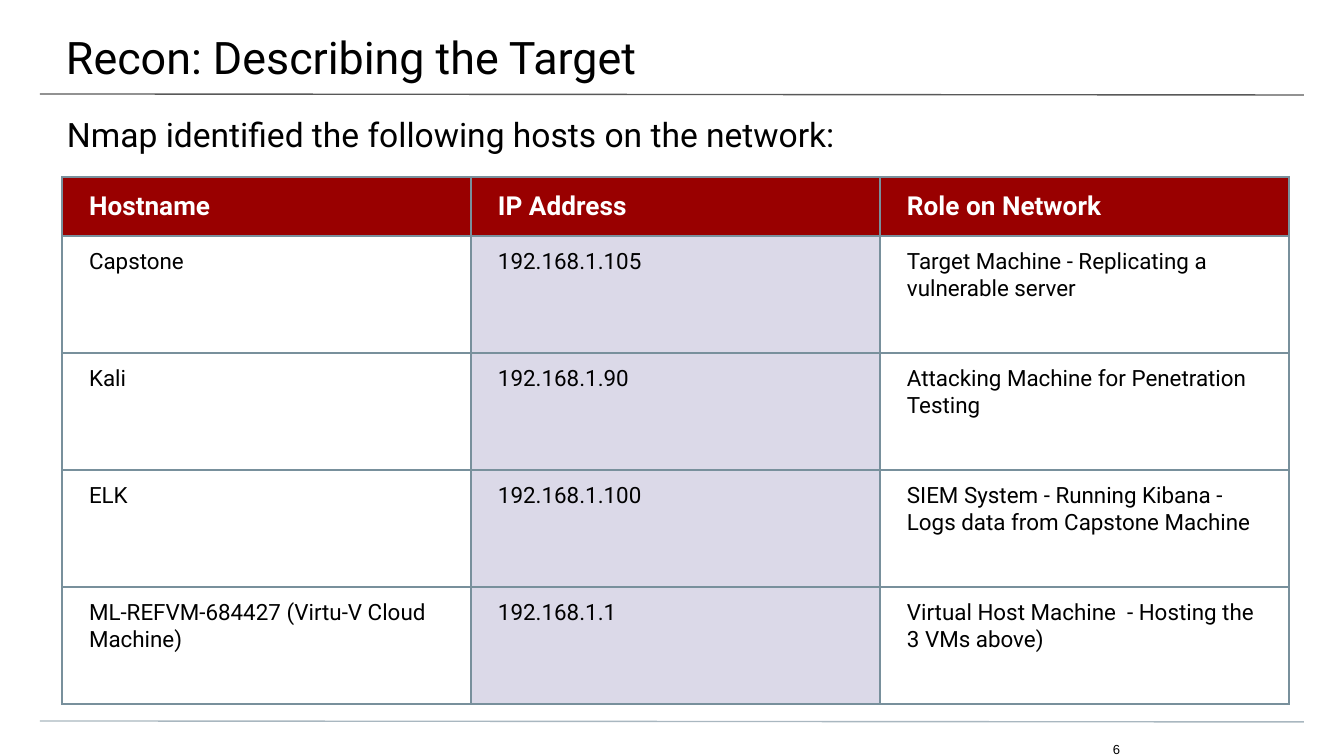
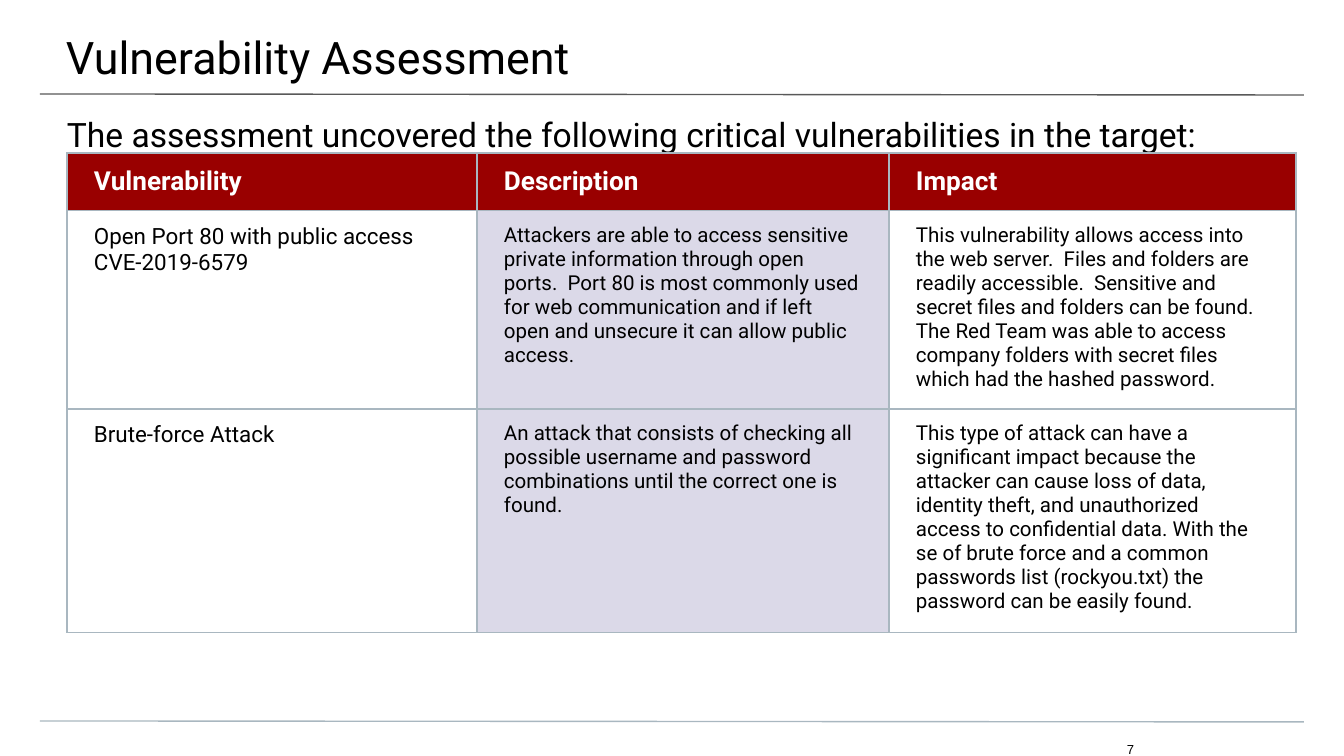
from lxml.etree import SubElement
from pptx import Presentation
from pptx.dml.color import RGBColor
from pptx.enum.shapes import MSO_CONNECTOR
from pptx.enum.text import MSO_ANCHOR, MSO_AUTO_SIZE, PP_ALIGN
from pptx.oxml.ns import qn
from pptx.util import Emu, Pt

SCALE = 914400 / 134.4
WIDTH, HEIGHT = 1344, 756
COLORS = {
    "text": "000000",
    "light": "FFFFFF",
    "head": "990000",
    "tint": "DBD9E8",
    "rule": "595959",
    "pale": "A9B7C0",
    "slate": "78909C",
}


def px(count):
    return Emu(round(count * SCALE))


def color(name):
    return RGBColor.from_string(COLORS[name])


def write(frame, text, size=12, font="Roboto", tone="text", bold=False,
          inset=(27, 13, 27, 13), anchor=MSO_ANCHOR.TOP):
    frame.word_wrap = True
    frame.vertical_anchor = anchor
    sides = ("left", "top", "right", "bottom")
    for side, value in zip(sides, inset):
        setattr(frame, "margin_" + side, px(value))
    frame.text = text
    for para in frame.paragraphs:
        para.alignment = PP_ALIGN.LEFT
        para.font.size = Pt(size)
        para.font.name = font
        para.font.bold = bold
        para.font.color.rgb = color(tone)


class Deck:
    def __init__(self):
        self.file = Presentation()
        self.file.slide_width = px(WIDTH)
        self.file.slide_height = px(HEIGHT)
        self.slide = None

    def page(self, title, lead, number, left):
        self.slide = self.file.slides.add_slide(self.file.slide_layouts[5])
        self.line(94, "rule")
        self.line(721, "pale")
        self.title(title)
        self.text(lead, (0, 99, WIDTH, 54), size=18, inset=(67, 15, 67, 0))
        self.text(number, (0, 723, WIDTH, 33), size=7, font="Arial",
                  inset=(left, 22, 0, 0))

    def line(self, top, tone):
        line = self.slide.shapes.add_connector(
            MSO_CONNECTOR.STRAIGHT, px(40), px(top), px(1304), px(top + 1))
        line.line.color.rgb = color(tone)
        line.line.width = Pt(0.75)
        SubElement(line._element.spPr, qn("a:effectLst"))

    def title(self, text):
        shape = self.slide.shapes.title
        shape.left, shape.top = px(-1), px(0)
        shape.width, shape.height = px(1348), px(78)
        shape.text_frame.auto_size = MSO_AUTO_SIZE.NONE
        write(shape.text_frame, text, size=24, inset=(67, 30, 40, 13))

    def text(self, text, box, **style):
        shape = self.slide.shapes.add_textbox(*map(px, box))
        write(shape.text_frame, text, **style)

    def border(self, cell, tone):
        props = cell._tc.get_or_add_tcPr()
        for side in "LRTB":
            line = SubElement(props, qn("a:ln" + side), w=str(Pt(0.75)))
            fill = SubElement(line, qn("a:solidFill"))
            SubElement(fill, qn("a:srgbClr"), val=COLORS[tone])

    def table(self, data, left, top, cols, rows, sizes, edge):
        table = self.slide.shapes.add_table(
            len(rows), len(cols), px(left), px(top),
            px(sum(cols)), px(sum(rows))).table
        table.first_row = table.horz_banding = False
        for col, width in zip(table.columns, cols):
            col.width = px(width)
        for row, height in zip(table.rows, rows):
            row.height = px(height)
        for r, line in enumerate(data):
            for c, text in enumerate(line):
                self.cell(table.cell(r, c), text, r == 0, c == 1, sizes[c], edge)

    def cell(self, cell, text, head, tint, size, edge):
        self.border(cell, edge)
        if head or tint:
            cell.fill.solid()
            cell.fill.fore_color.rgb = color("head" if head else "tint")
        else:
            cell.fill.background()
        if head:
            write(cell.text_frame, text, size=14, tone="light", bold=True)
            cell.vertical_anchor = MSO_ANCHOR.MIDDLE
        else:
            write(cell.text_frame, text, size=size)
            cell.vertical_anchor = MSO_ANCHOR.TOP
        cell.margin_left = cell.margin_right = px(27)
        cell.margin_top = cell.margin_bottom = px(13)


HOSTS = [
    ("Hostname", "IP Address", "Role on Network"),
    ("Capstone", "192.168.1.105",
     "Target Machine - Replicating a vulnerable server"),
    ("Kali", "192.168.1.90", "Attacking Machine for Penetration Testing"),
    ("ELK", "192.168.1.100",
     "SIEM System - Running Kibana - Logs data from Capstone Machine"),
    ("ML-REFVM-684427 (Virtu-V Cloud Machine)", "192.168.1.1",
     "Virtual Host Machine  - Hosting the 3 VMs above)"),
]
FLAWS = [
    ("Vulnerability", "Description", "Impact"),
    ("Open Port 80 with public access\nCVE-2019-6579",
     "Attackers are able to access sensitive private information through "
     "open ports.  Port 80 is most commonly used for web communication and "
     "if left open and unsecure it can allow public access.",
     "This vulnerability allows access into the web server.  Files and "
     "folders are readily accessible.  Sensitive and secret files and "
     "folders can be found.  The Red Team was able to access company "
     "folders with secret files which had the hashed password."),
    ("Brute-force Attack",
     "An attack that consists of checking all possible username and "
     "password combinations until the correct one is found.",
     "This type of attack can have a significant impact because the "
     "attacker can cause loss of data, identity theft, and unauthorized "
     "access to confidential data. With the se of brute force and a common "
     "passwords list (rockyou.txt) the password can be easily found."),
]


def main():
    deck = Deck()
    deck.page("Recon: Describing the Target",
              "Nmap identified the following hosts on the network:", "6", 1113)
    deck.table(HOSTS, 62, 177, [409] * 3, [59] + [117] * 4,
               (12, 12, 12), "slate")
    deck.page("Vulnerability Assessment",
              "The assessment uncovered the following critical "
              "vulnerabilities in the target:", "7", 1127)
    deck.table(FLAWS, 67, 153, [410, 412, 407], [50, 175, 196],
               (12, 11, 11), "pale")
    deck.file.save("out.pptx")


if __name__ == "__main__":
    main()
